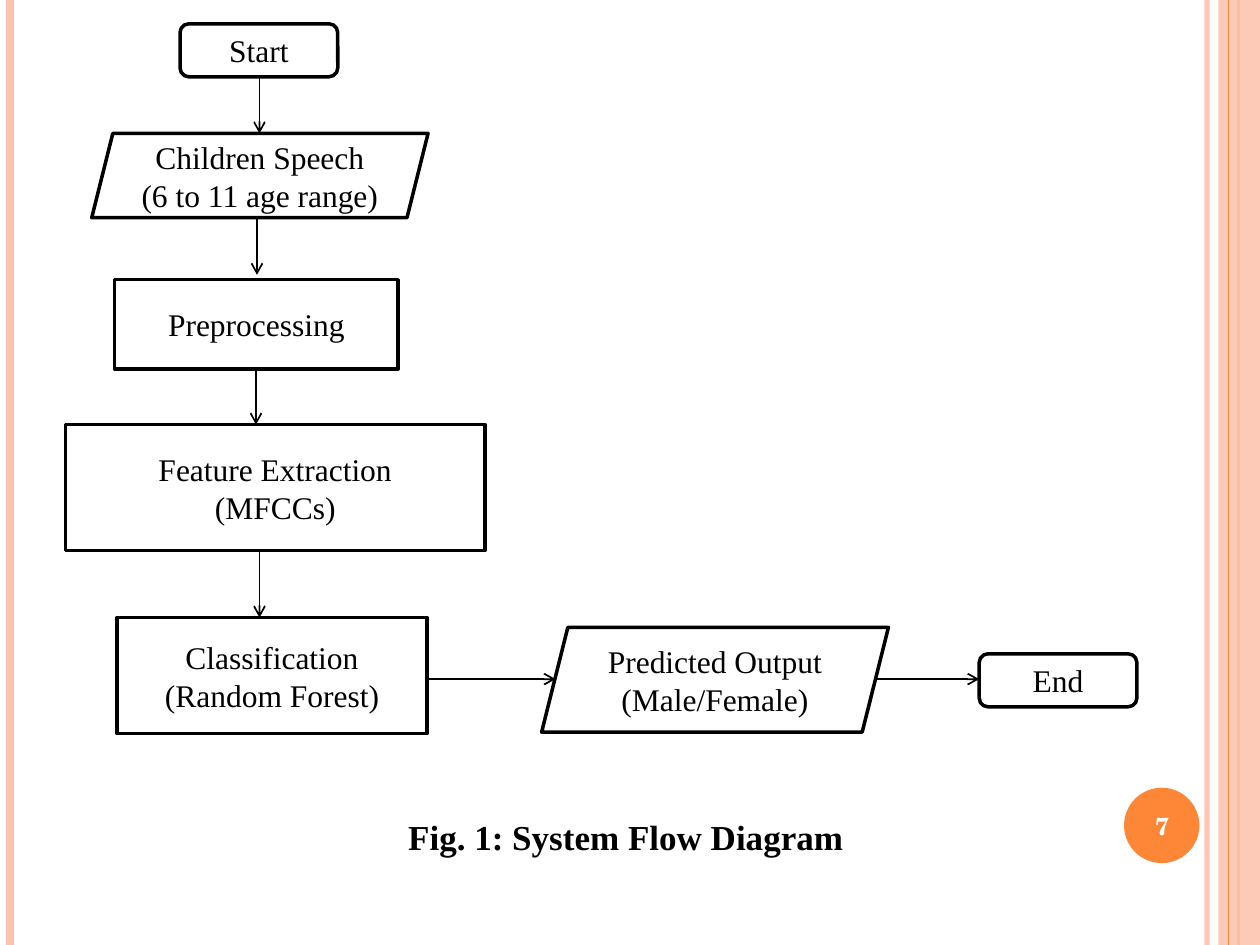
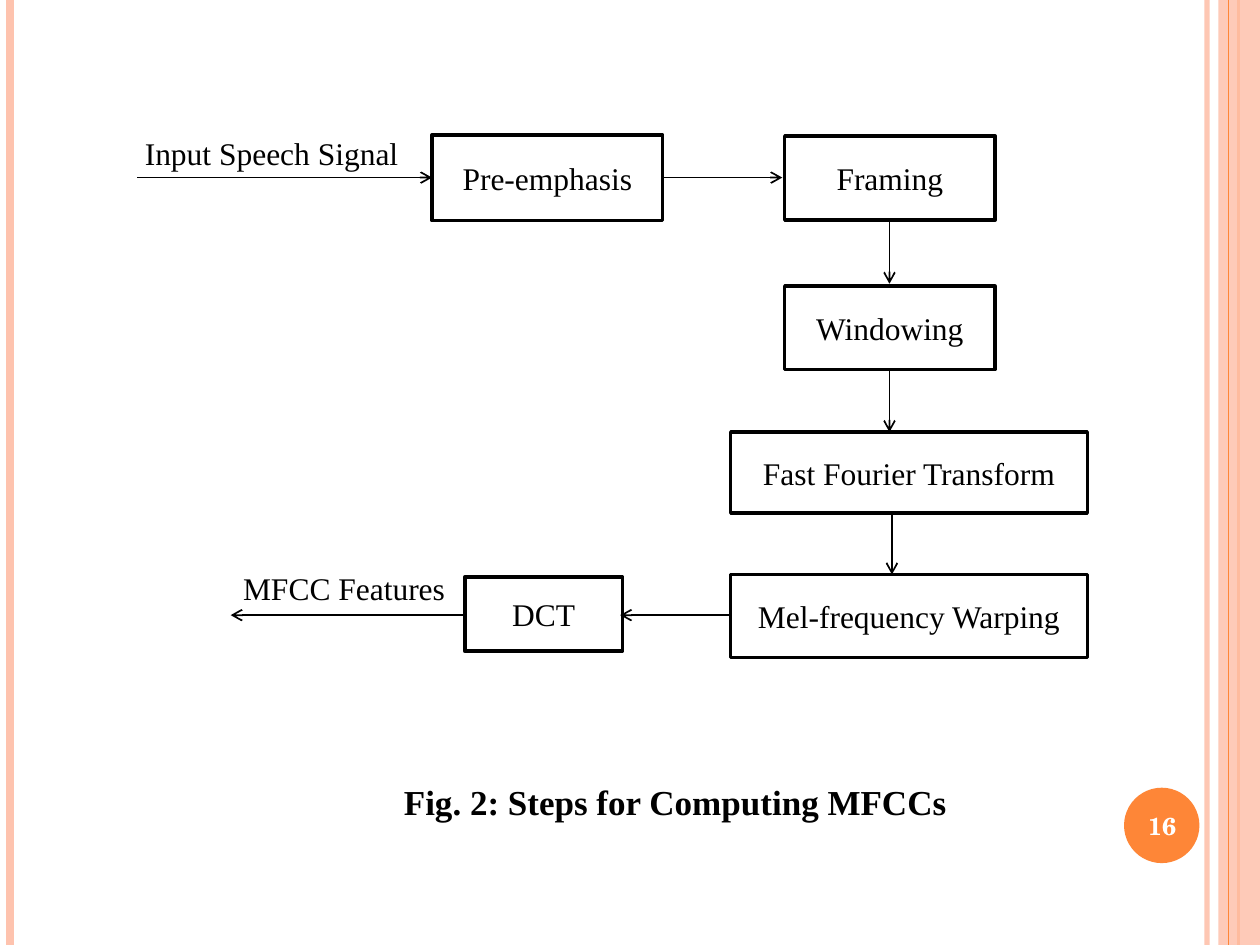
"""Build two flow-diagram slides about speech classification with MFCC features."""
from dataclasses import dataclass

import lxml.etree
import pptx
import pptx.dml.color
import pptx.enum.shapes
import pptx.enum.text
import pptx.oxml.ns
import pptx.util

Cm = pptx.util.Cm
Pt = pptx.util.Pt
RGBColor = pptx.dml.color.RGBColor
Shape = pptx.enum.shapes.MSO_SHAPE
Align = pptx.enum.text.PP_ALIGN
Anchor = pptx.enum.text.MSO_ANCHOR

BLACK = RGBColor(0x00, 0x00, 0x00)
WHITE = RGBColor(0xFF, 0xFF, 0xFF)
ORANGE = RGBColor(0xFE, 0x86, 0x37)
PEACH = RGBColor(0xFE, 0xC3, 0xAE)
BODY_FONT = "Times New Roman"
NUMBER_FONT = "TeX Gyre Schola"
PAGE_WIDTH, PAGE_HEIGHT = 25.4, 19.05


@dataclass(frozen=True)
class Frame:
    """Position and size in centimetres."""
    left: float
    top: float
    width: float
    height: float

    def lengths(self) -> list:
        """Return the four values as slide lengths."""
        return [Cm(value) for value in (self.left, self.top, self.width, self.height)]


@dataclass(frozen=True)
class TextStyle:
    """Appearance of a block of text."""
    size: int = 18
    bold: bool = False
    font: str = BODY_FONT
    color: RGBColor = BLACK
    align: Align = Align.CENTER
    anchor: Anchor = Anchor.MIDDLE


@dataclass(frozen=True)
class Step:
    """One outlined step of a flow diagram."""
    text: str
    frame: Frame
    kind: Shape = Shape.RECTANGLE


@dataclass(frozen=True)
class Line:
    """A straight line between two points in centimetres."""
    start_x: float
    start_y: float
    end_x: float
    end_y: float
    weight: float = 1
    color: RGBColor = BLACK
    opacity: int = 100


@dataclass(frozen=True)
class Label:
    """A free-standing text."""
    text: str
    frame: Frame
    style: TextStyle


@dataclass(frozen=True)
class Diagram:
    """Everything that one slide shows."""
    number: int
    steps: list[Step]
    arrows: list[Line]
    labels: list[Label]


STEP_STYLE = TextStyle()
FLOW_LABEL = TextStyle(align=Align.LEFT, anchor=Anchor.BOTTOM)
CAPTION = TextStyle(size=20, bold=True, anchor=Anchor.TOP)
LEFT_CAPTION = TextStyle(size=20, bold=True, align=Align.LEFT, anchor=Anchor.TOP)
NUMBER_STYLE = TextStyle(size=14, bold=True, font=NUMBER_FONT, color=WHITE)


def stripe(x: float, weight: float, color: RGBColor, opacity: int = 100) -> Line:
    """Describe a line over the full height of the slide."""
    return Line(x, 0, x, PAGE_HEIGHT, weight, color, opacity)


STRIPES_BELOW = [stripe(24.33, 3, PEACH, 93), stripe(0.2, 4.5, PEACH),
                 stripe(24.97, 1.5, ORANGE)]
BAND = Frame(24.56, 0, 0.84, PAGE_HEIGHT)
STRIPE_ABOVE = stripe(24.77, 0.75, ORANGE)
BADGE = Frame(22.66, 15.88, 1.52, 1.52)
NUMBER_FRAME = Frame(22.58, 15.93, 1.7, 1.45)

SYSTEM_FLOW = Diagram(
    7,
    [
        Step("Start", Frame(3.63, 0.48, 3.18, 1.07), Shape.ROUNDED_RECTANGLE),
        Step("Children Speech (6 to 11 age range)", Frame(1.85, 2.69, 6.78, 1.7),
             Shape.PARALLELOGRAM),
        Step("Preprocessing", Frame(2.31, 5.64, 5.72, 1.8)),
        Step("Feature Extraction\n(MFCCs)", Frame(1.32, 8.56, 8.46, 2.54)),
        Step("Classification\n(Random Forest)", Frame(2.36, 12.45, 6.25, 2.34)),
        Step("Predicted Output\n(Male/Female)", Frame(10.92, 12.65, 6.99, 2.11),
             Shape.PARALLELOGRAM),
        Step("End", Frame(19.74, 13.18, 3.18, 1.07), Shape.ROUNDED_RECTANGLE),
    ],
    [
        Line(5.23, 1.52, 5.23, 2.69),
        Line(5.18, 4.37, 5.18, 5.54),
        Line(5.16, 7.42, 5.16, 8.56),
        Line(5.23, 11.1, 5.23, 12.45),
        Line(8.61, 13.69, 11.2, 13.69),
        Line(17.65, 13.69, 19.74, 13.69),
    ],
    [Label("Fig. 1: System Flow Diagram", Frame(7.98, 16.31, 11.76, 1.12), LEFT_CAPTION)],
)

MFCC_STEPS = Diagram(
    16,
    [
        Step("Pre-emphasis", Frame(8.71, 2.72, 4.65, 1.73)),
        Step("Framing", Frame(15.82, 2.74, 4.24, 1.7)),
        Step("Windowing", Frame(15.82, 5.77, 4.24, 1.68)),
        Step("Fast Fourier Transform", Frame(14.73, 8.71, 7.19, 1.63)),
        Step("Mel-frequency Warping", Frame(14.73, 11.58, 7.19, 1.68)),
        Step("DCT", Frame(9.37, 11.63, 3.18, 1.5)),
    ],
    [
        Line(2.77, 3.58, 8.71, 3.58),
        Line(13.34, 3.58, 15.77, 3.58),
        Line(17.93, 4.45, 17.93, 5.72),
        Line(17.93, 7.44, 17.93, 8.71),
        Line(17.98, 10.34, 17.98, 11.58),
        Line(14.73, 12.4, 12.5, 12.4),
        Line(9.35, 12.4, 4.65, 12.4),
    ],
    [
        Label("Input Speech Signal", Frame(2.67, 1.78, 5.92, 1.8), FLOW_LABEL),
        Label("MFCC Features", Frame(4.65, 11.33, 5.18, 1.02), FLOW_LABEL),
        Label("Fig. 2: Steps for Computing MFCCs", Frame(6.58, 15.6, 14.07, 1.12), CAPTION),
    ],
)


def add_child(parent, tag: str, **attributes: str) -> None:
    """Append an XML element to its parent."""
    lxml.etree.SubElement(parent, pptx.oxml.ns.qn(tag), attributes)


def set_opacity(properties, opacity: int) -> None:
    """Make the first colour of a shape or line partly transparent."""
    color = next(properties.iter(pptx.oxml.ns.qn("a:srgbClr")))
    add_child(color, "a:alpha", val=str(opacity * 1000))


def write(box, text: str, style: TextStyle) -> None:
    """Fill a shape with styled paragraphs."""
    frame = box.text_frame
    frame.word_wrap = True
    frame.vertical_anchor = style.anchor
    frame.text = text
    for para in frame.paragraphs:
        para.alignment = style.align
        para.font.size = Pt(style.size)
        para.font.bold = style.bold
        para.font.name = style.font
        para.font.color.rgb = style.color


def add_block(page, kind: Shape, frame: Frame, color: RGBColor):
    """Draw a flat filled shape without outline."""
    block = page.shapes.add_shape(kind, *frame.lengths())
    block.shadow.inherit = False
    block.fill.solid()
    block.fill.fore_color.rgb = color
    block.line.fill.background()
    return block


def add_line(page, line: Line, arrow: bool = False) -> None:
    """Draw a line, with an open arrowhead at its end if wanted."""
    ends = (line.start_x, line.start_y, line.end_x, line.end_y)
    connector = page.shapes.add_connector(
        pptx.enum.shapes.MSO_CONNECTOR.STRAIGHT, *[Cm(value) for value in ends])
    connector.line.width = Pt(line.weight)
    connector.line.color.rgb = line.color
    properties = connector._element.spPr
    if line.opacity < 100:
        set_opacity(properties, line.opacity)
    if arrow:
        add_child(connector.line._get_or_add_ln(), "a:tailEnd", type="arrow")
    add_child(properties, "a:effectLst")


def add_step(page, step: Step) -> None:
    """Draw a step of the flow."""
    block = add_block(page, step.kind, step.frame, WHITE)
    block.line.color.rgb = BLACK
    block.line.width = Pt(2)
    write(block, step.text, STEP_STYLE)


def add_label(page, label: Label) -> None:
    """Place a free-standing text."""
    write(page.shapes.add_textbox(*label.frame.lengths()), label.text, label.style)


def add_decoration(page, number: int) -> None:
    """Draw the stripes, side band and page number."""
    for line in STRIPES_BELOW:
        add_line(page, line)
    band = add_block(page, Shape.RECTANGLE, BAND, PEACH)
    set_opacity(band._element.spPr, 87)
    add_line(page, STRIPE_ABOVE)
    add_block(page, Shape.OVAL, BADGE, ORANGE)
    add_label(page, Label(str(number), NUMBER_FRAME, NUMBER_STYLE))


def add_diagram(deck, diagram: Diagram) -> None:
    """Add a slide with one flow diagram."""
    page = deck.slides.add_slide(deck.slide_layouts[6])
    add_decoration(page, diagram.number)
    for step in diagram.steps:
        add_step(page, step)
    for arrow in diagram.arrows:
        add_line(page, arrow, arrow=True)
    for label in diagram.labels:
        add_label(page, label)


def main() -> None:
    """Build and save the deck."""
    deck = pptx.Presentation()
    deck.slide_width, deck.slide_height = Cm(PAGE_WIDTH), Cm(PAGE_HEIGHT)
    for diagram in (SYSTEM_FLOW, MFCC_STEPS):
        add_diagram(deck, diagram)
    deck.save("out.pptx")


if __name__ == "__main__":
    main()
